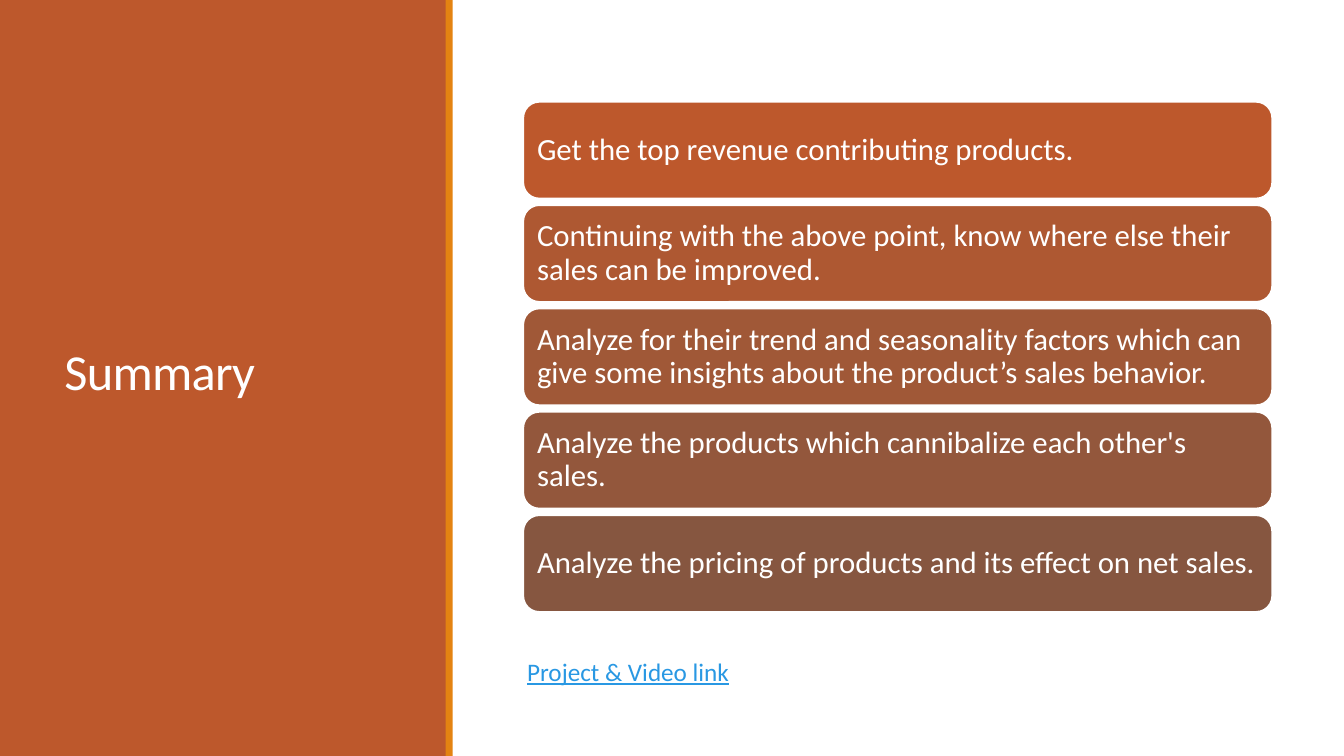
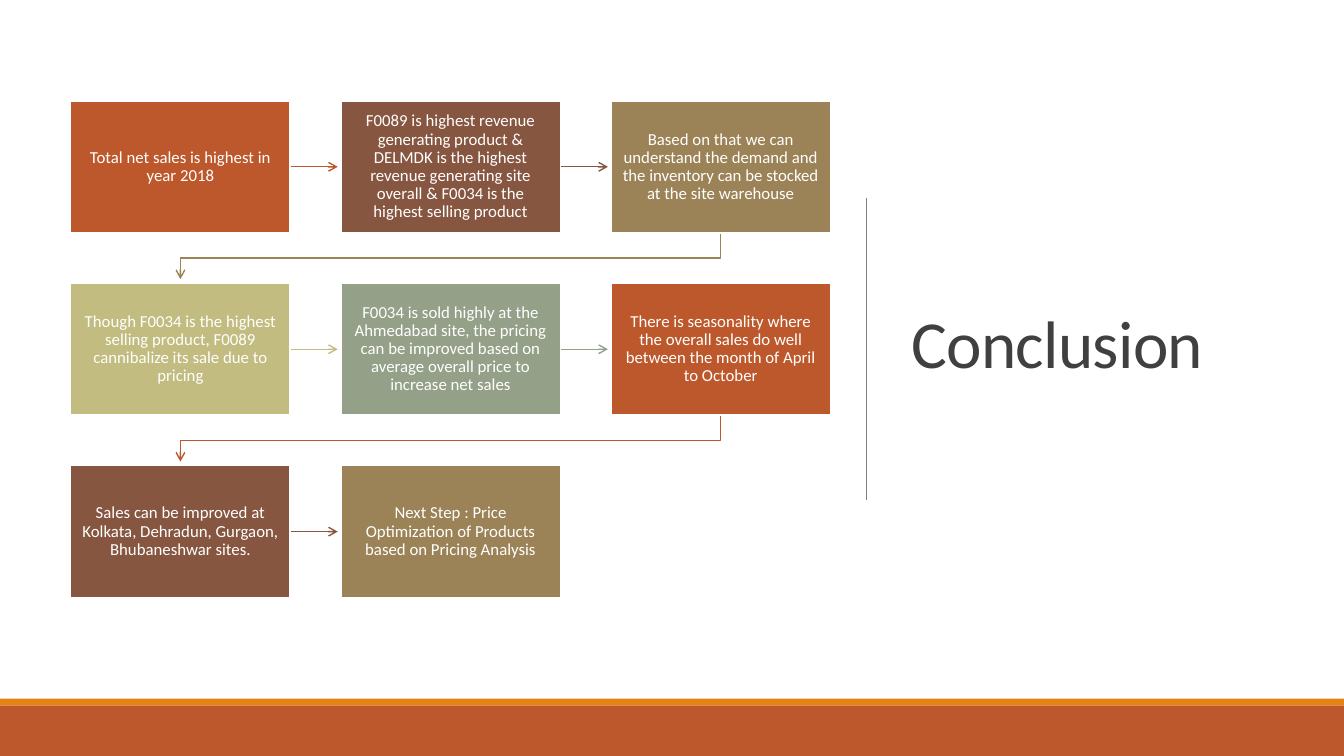
from dataclasses import dataclass
from itertools import cycle

from lxml.etree import SubElement
from pptx import Presentation
from pptx.dml.color import RGBColor
from pptx.enum.shapes import MSO_CONNECTOR, MSO_SHAPE
from pptx.enum.text import MSO_ANCHOR, PP_ALIGN
from pptx.oxml.ns import qn
from pptx.util import Inches, Pt

COLORS = {
    "rust": "BD582C", "brown": "865640", "tan": "9B8357", "lime": "C2BC80",
    "sage": "94A088", "amber": "E48312", "white": "FFFFFF", "ink": "404040",
    "gray": "808080", "link": "2998E3",
    "rust2": "AE5832", "rust3": "A05837", "rust4": "93573C",
}
FONT = "Calibri"
WIDE, HIGH = Inches(13.33), Inches(7.5)


# Every length is a share of the slide: 100 columns by 100 rows
@dataclass(frozen=True)
class Box:
    x: float
    y: float
    w: float
    h: float


@dataclass(frozen=True)
class Style:
    size: float
    color: str = "white"
    spacing: float = 0.9
    inset: float = 0.1
    align: PP_ALIGN = PP_ALIGN.LEFT
    anchor: MSO_ANCHOR = MSO_ANCHOR.MIDDLE
    track: int = 0
    under: bool = False


@dataclass(frozen=True)
class Grid:
    first: Box
    across: float
    down: float
    cols: int

    def cell(self, index: int) -> Box:
        row, col = divmod(index, self.cols)
        return Box(self.first.x + col * self.across,
                   self.first.y + row * self.down, self.first.w, self.first.h)


def col(share: float) -> int:
    return round(WIDE * share / 100)


def row(share: float) -> int:
    return round(HIGH * share / 100)


def place(box: Box) -> tuple:
    return col(box.x), row(box.y), col(box.w), row(box.h)


def rgb(name: str) -> RGBColor:
    return RGBColor.from_string(COLORS[name])


def write(shape, text: str, style: Style) -> None:
    frame = shape.text_frame
    frame.text = text
    frame.word_wrap = True
    frame.vertical_anchor = style.anchor
    frame.margin_left = frame.margin_right = Inches(style.inset)
    frame.margin_top = frame.margin_bottom = Inches(min(style.inset, 0.11))
    para = frame.paragraphs[0]
    para.alignment = style.align
    para.line_spacing = style.spacing
    run = para.runs[0]
    run.font.name = FONT
    run.font.size = Pt(style.size)
    run.font.color.rgb = rgb(style.color)
    if style.under:
        run.font.underline = True
    if style.track:
        run._r.get_or_add_rPr().set("spc", str(style.track))


def label(slide, box: Box, text: str, style: Style) -> None:
    write(slide.shapes.add_textbox(*place(box)), text, style)


def block(slide, box: Box, fill: str, kind=MSO_SHAPE.RECTANGLE, edge: bool = False):
    shape = slide.shapes.add_shape(kind, *place(box))
    shape.shadow.inherit = False
    shape.fill.solid()
    shape.fill.fore_color.rgb = rgb(fill)
    if edge:
        shape.line.color.rgb = rgb("white")
        shape.line.width = Pt(1.25)
    else:
        shape.line.fill.background()
    return shape


def stroke(shape, color: str, width: float, arrow: bool) -> None:
    shape.line.color.rgb = rgb(color)
    shape.line.width = Pt(width)
    if arrow:
        SubElement(shape.line._get_or_add_ln(), qn("a:tailEnd"), type="arrow")


def line(slide, x1: float, y1: float, x2: float, y2: float,
         color: str, width: float, arrow: bool = False) -> None:
    link = slide.shapes.add_connector(
        MSO_CONNECTOR.STRAIGHT, col(x1), row(y1), col(x2), row(y2))
    stroke(link, color, width, arrow)
    SubElement(link._element.spPr, qn("a:effectLst"))


def bend(slide, points: list, color: str) -> None:
    start, *rest = [(col(x), row(y)) for x, y in points]
    build = slide.shapes.build_freeform(*start, scale=1.0)
    build.add_line_segments(rest, close=False)
    shape = build.convert_to_shape()
    shape.shadow.inherit = False
    shape.fill.background()
    stroke(shape, color, 1, True)


def title(slide, box: Box, text: str, size: float, color: str) -> None:
    label(slide, box, text, Style(size, color, spacing=0.85, track=-50))


# Summary slide
STEPS = [
    ("rust", "Get the top revenue contributing products."),
    ("rust2", "Continuing with the above point, know where else their sales can be improved."),
    ("rust3", "Analyze for their trend and seasonality factors which can give some "
              "insights about the product’s sales behavior."),
    ("rust4", "Analyze the products which cannibalize each other's sales."),
    ("brown", "Analyze the pricing of products and its effect on net sales."),
]
STACK = Grid(Box(38.93, 13.47, 55.73, 12.8), 0, 13.67, 1)


def summary(slide) -> None:
    # Side panel and stripe
    block(slide, Box(0, 0, 33.23, 100), "rust")
    title(slide, Box(4.05, 7.6, 25.28, 84.13), "Summary", 36, "white")
    block(slide, Box(33.15, 0, 0.53, 100), "amber")
    # Stacked points
    for index, (fill, text) in enumerate(STEPS):
        shape = block(slide, STACK.cell(index), fill, MSO_SHAPE.ROUNDED_RECTANGLE, True)
        write(shape, text, Style(22, inset=0.09))
    label(slide, Box(38.48, 85.47, 55.73, 5.33), "Project & Video link",
          Style(18, "link", spacing=1.0, anchor=MSO_ANCHOR.TOP, under=True))


# Conclusion slide
FACTS = [
    "Total net sales is highest in year 2018",
    "F0089 is highest revenue generating product & DELMDK is the highest revenue "
    "generating site overall & F0034 is the highest selling product",
    "Based on that we can understand the demand and the inventory can be stocked "
    "at the site warehouse",
    "Though F0034 is the highest selling product, F0089 cannibalize its sale due to pricing",
    "F0034 is sold highly at the Ahmedabad site, the pricing can be improved based on "
    "average overall price to increase net sales",
    "There is seasonality where the overall sales do well between the month of April to October",
    "Sales can be improved at Kolkata, Dehradun, Gurgaon, Bhubaneshwar sites.",
    "Next Step : Price Optimization of Products based on Pricing Analysis",
]
FILLS = ["rust", "brown", "tan", "lime", "sage"]
FLOW = Grid(Box(5.25, 13.33, 16.35, 17.47), 20.1, 24.13, 3)


def join(slide, here: Box, there: Box, color: str) -> None:
    if here.y == there.y:
        mid = here.y + here.h / 2
        line(slide, here.x + here.w, mid, there.x - 0.22, mid, color, 1, True)
    else:
        top = here.y + here.h
        start, end = here.x + here.w / 2, there.x + there.w / 2
        turn = (top + there.y) / 2
        bend(slide, [(start, top), (start, turn), (end, turn), (end, there.y - 0.53)], color)


def conclusion(slide) -> None:
    title(slide, Box(67.07, 9.2, 27.68, 73.73), "Conclusion", 48, "ink")
    line(slide, 64.44, 26.13, 64.44, 66.13, "gray", 0.5)
    # Bottom bands
    block(slide, Box(0, 92.4, 100, 0.93), "amber")
    block(slide, Box(0, 93.33, 100, 6.67), "rust")
    # Flow of findings
    style = Style(12, inset=0.11, align=PP_ALIGN.CENTER)
    for index, (text, fill) in enumerate(zip(FACTS, cycle(FILLS))):
        box = FLOW.cell(index)
        if index < len(FACTS) - 1:
            join(slide, box, FLOW.cell(index + 1), fill)
        write(block(slide, box, fill, edge=True), text, style)


def main() -> None:
    deck = Presentation()
    deck.slide_width, deck.slide_height = WIDE, HIGH
    for draw in (summary, conclusion):
        draw(deck.slides.add_slide(deck.slide_layouts[6]))
    deck.save("out.pptx")


if __name__ == "__main__":
    main()
